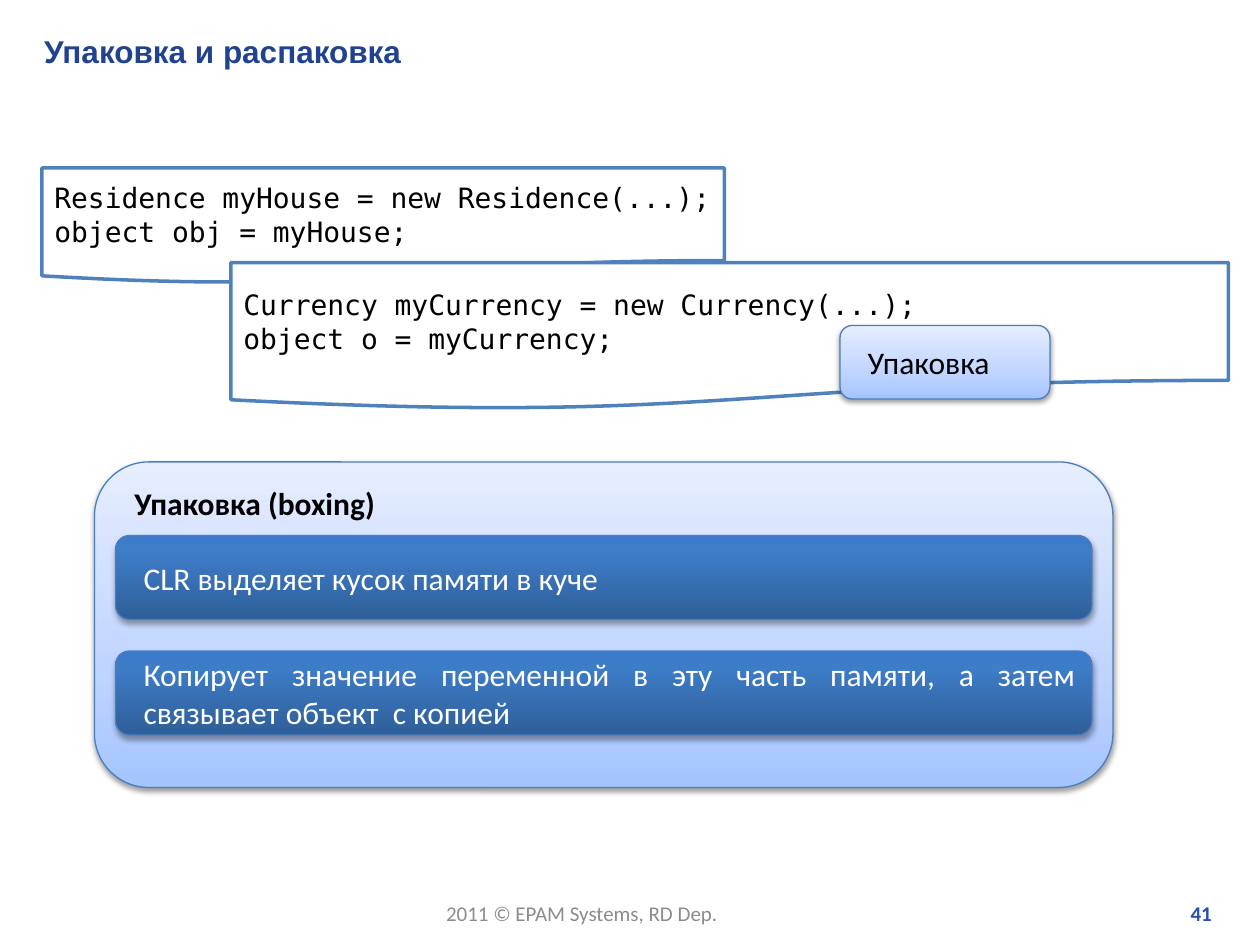
import lxml.etree
import pptx
import pptx.dml.color
import pptx.enum.shapes
import pptx.enum.text
import pptx.oxml.ns
import pptx.util

EMU_PER_PX = 7620
COLORS = {
    "title": "21438F", "page": "2750AB", "footer": "8C8C8C",
    "code_line": "4F81BD", "box_line": "4B7EBC",
    "black": "000000", "white": "FFFFFF",
}
LIGHT = {"stops": [(0, "A4C4FF"), (35, "BFD4FF"), (100, "E6EEFF")], "opacity": 38, "distance": 1.6}
DARK = {"stops": [(0, "2F5F99"), (80, "3D7CC7"), (100, "3A7CCB")], "opacity": 35, "distance": 1.8}
SHAPES = pptx.enum.shapes.MSO_SHAPE
ALIGN = pptx.enum.text.PP_ALIGN
ANCHOR = pptx.enum.text.MSO_ANCHOR


def px(*lengths):
    """Turn px lengths into a list of EMU lengths."""
    return [pptx.util.Emu(length * EMU_PER_PX) for length in lengths]


def rgb(name):
    """Return the colour stored under a name."""
    return pptx.dml.color.RGBColor.from_string(COLORS[name])


def add_xml(parent, tag, **attributes):
    """Append a drawing element with the given attributes."""
    element = lxml.etree.SubElement(parent, pptx.oxml.ns.qn(tag))
    for name, value in attributes.items():
        element.set(name, str(value))
    return element


def write_text(shape, text, size=18, font="Calibri", color="black", bold=False,
               align=ALIGN.LEFT, anchor=ANCHOR.MIDDLE, indent=0, wrap=True):
    """Write one paragraph per line of text in one format."""
    frame = shape.text_frame
    frame.word_wrap = wrap
    frame.auto_size = pptx.enum.text.MSO_AUTO_SIZE.NONE
    frame.vertical_anchor = anchor
    frame.text = text
    for paragraph in frame.paragraphs:
        paragraph.alignment = align
        if indent:
            properties = paragraph._p.get_or_add_pPr()
            properties.set("marL", str(px(indent)[0]))
            properties.set("indent", "0")
        for run in paragraph.runs:
            run.font.size = pptx.util.Pt(size)
            run.font.name = font
            run.font.bold = bold
            run.font.color.rgb = rgb(color)


def add_title(slide, box, text):
    """Place the title placeholder in its box."""
    title = slide.shapes.title
    title.left, title.top, title.width, title.height = px(*box)
    write_text(title, text, font="Arial", color="title", bold=True)


def add_code(slide, box, code):
    """Add a document shape that holds lines of code."""
    shape = slide.shapes.add_shape(SHAPES.FLOWCHART_DOCUMENT, *px(*box))
    shape.shadow.inherit = False
    shape.fill.solid()
    shape.fill.fore_color.rgb = rgb("white")
    shape.line.color.rgb = rgb("code_line")
    shape.line.width = pptx.util.Pt(2)
    write_text(shape, code, size=16, font="DejaVu Sans Mono")


def add_card(slide, box, text, style, **text_format):
    """Add a rounded card with a gradient fill and a soft shadow."""
    shape = slide.shapes.add_shape(SHAPES.ROUNDED_RECTANGLE, *px(*box))
    shape.fill.gradient()
    shape.fill.gradient_angle = 90
    shape.line.color.rgb = rgb("box_line")
    shape.line.width = pptx.util.Pt(0.75)
    shape.shadow.inherit = False
    properties = shape.element.spPr
    stop_list = properties.find(".//" + pptx.oxml.ns.qn("a:gsLst"))
    for old_stop in list(stop_list):
        stop_list.remove(old_stop)
    for position, color in style["stops"]:
        stop = add_xml(stop_list, "a:gs", pos=position * 1000)
        add_xml(stop, "a:srgbClr", val=color)
    effects = properties.find(pptx.oxml.ns.qn("a:effectLst"))
    shadow = add_xml(effects, "a:outerShdw", blurRad=pptx.util.Pt(3.1),
                     dist=pptx.util.Pt(style["distance"]), dir=5400000, rotWithShape=0)
    shadow_color = add_xml(shadow, "a:srgbClr", val=COLORS["black"])
    add_xml(shadow_color, "a:alpha", val=style["opacity"] * 1000)
    write_text(shape, text, align=ALIGN.JUSTIFY, indent=11, **text_format)


def add_boxing_panel(slide, box, heading, steps):
    """Add the headed panel with its equally spaced steps."""
    left, top, width, height = box
    add_card(slide, box, heading, LIGHT, bold=True, anchor=ANCHOR.TOP)
    for index, step in enumerate(steps):
        step_box = (left + 20, top + 70 + index * 110, width - 40, 80)
        add_card(slide, step_box, step, DARK, color="white")


def add_label(slide, box, text, **text_format):
    """Add a small text box for the foot of the slide."""
    label = slide.shapes.add_textbox(*px(*box))
    write_text(label, text, size=12, anchor=ANCHOR.TOP, **text_format)


def main():
    """Build the slide and save it."""
    presentation = pptx.Presentation()
    presentation.slide_width, presentation.slide_height = px(1200, 900)
    slide = presentation.slides.add_slide(presentation.slide_layouts[5])
    add_label(slide, (413, 852, 287, 36), "2011 © EPAM Systems, RD Dep.", color="footer", wrap=False)
    add_label(slide, (912, 852, 254, 36), "41", color="page", bold=True, align=ALIGN.RIGHT)
    add_title(slide, (30, 24, 1145, 48), "Упаковка и распаковка")
    add_code(slide, (40, 160, 650, 110),
             "Residence myHouse = new Residence(...);\nobject obj = myHouse;")
    add_code(slide, (220, 250, 950, 140),
             "Currency myCurrency = new Currency(...);\nobject o = myCurrency;")
    add_boxing_panel(slide, (90, 440, 970, 310), "Упаковка (boxing)", [
        "CLR выделяет кусок памяти в куче",
        "Копирует значение переменной в эту часть памяти, а затем связывает объект  с копией",
    ])
    add_card(slide, (800, 310, 200, 70), "Упаковка", LIGHT)
    presentation.save("out.pptx")


if __name__ == "__main__":
    main()
